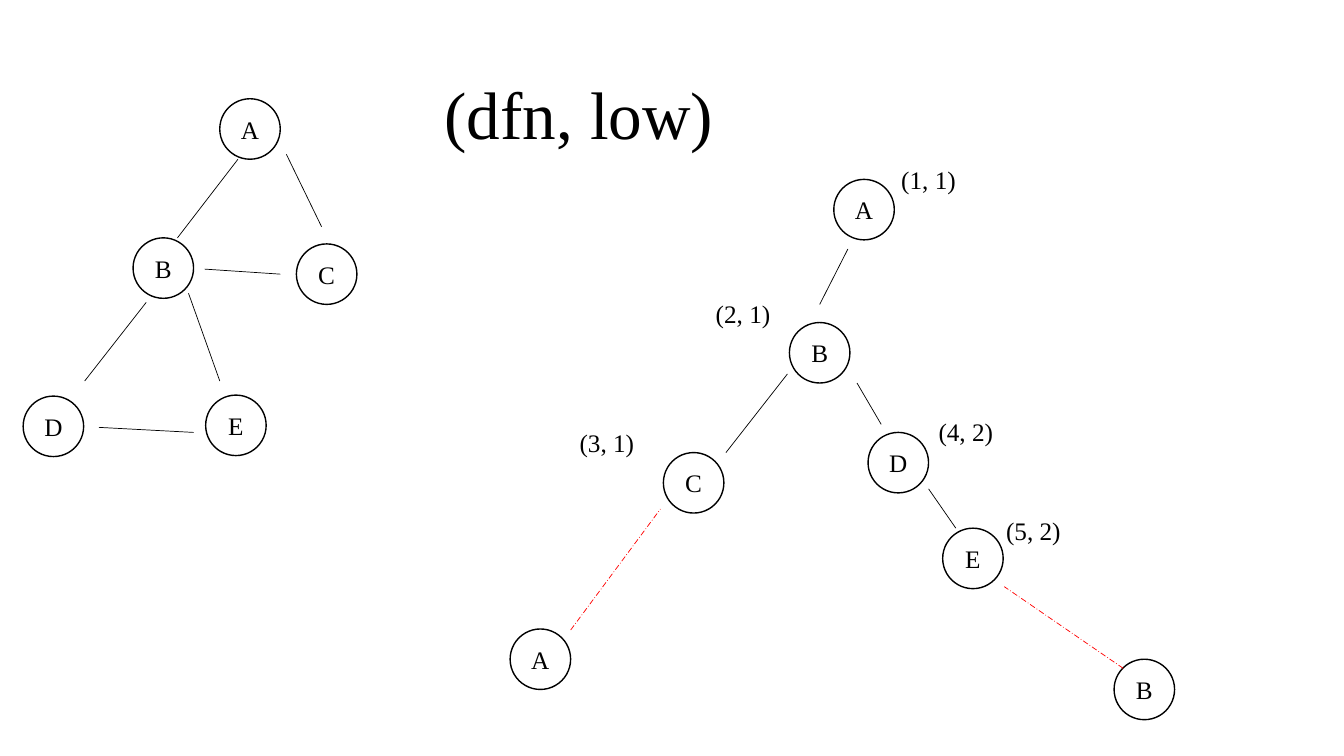
"""Build a slide with a graph and its depth-first tree, marked with dfn and low."""
import pptx
import pptx.util
import pptx.dml.color
import pptx.enum.dml
import pptx.enum.shapes
import pptx.enum.text
import pptx.oxml.ns
import lxml.etree

HUES = {"ink": "000000", "back": "FF0000"}
FACE = "Times New Roman"
CELL = pptx.util.Inches(0.01)
SIZE = 60

ALIGN = pptx.enum.text.PP_ALIGN
MID = pptx.enum.text.MSO_ANCHOR.MIDDLE
TOP = pptx.enum.text.MSO_ANCHOR.TOP
FIT = pptx.enum.text.MSO_AUTO_SIZE
NODE = {"word_wrap": True, "auto_size": FIT.NONE, "vertical_anchor": MID}
NOTE = {"word_wrap": False, "auto_size": FIT.SHAPE_TO_FIT_TEXT, "vertical_anchor": TOP}


def grid(*cells):
    """Turn grid columns and rows into lengths."""
    return [cell * CELL for cell in cells]


def write(shape, text, form, align, size):
    """Put formatted text into a shape."""
    frame = shape.text_frame
    frame.text = text
    for name, value in form.items():
        setattr(frame, name, value)
    line = frame.paragraphs[0]
    line.alignment = align
    font = line.runs[0].font
    for name, value in {"name": FACE, "size": pptx.util.Pt(size)}.items():
        setattr(font, name, value)
    font.color.rgb = pptx.dml.color.RGBColor.from_string(HUES["ink"])


deck = pptx.Presentation()
deck.slide_width, deck.slide_height = grid(1333, 750)
slide = deck.slides.add_slide(deck.slide_layouts[5])

title = slide.shapes.title
spot = dict(zip(("left", "top", "width", "height"), grid(431, 67, 289, 91)))
for name, value in spot.items():
    setattr(title, name, value)
write(title, "(dfn, low)", NOTE, ALIGN.LEFT, 48)

graph = [("A", 218, 98), ("B", 132, 236), ("C", 294, 242), ("D", 23, 393), ("E", 204, 392)]
tree = [("A", 827, 178), ("B", 783, 320), ("C", 658, 449), ("D", 861, 429), ("E", 935, 524)]
ends = [("A", 506, 624), ("B", 1105, 654)]
for text, left, top in graph + tree + ends:
    node = slide.shapes.add_shape(
        pptx.enum.shapes.MSO_SHAPE.OVAL, *grid(left, top, SIZE, SIZE))
    node.shadow.inherit = False
    node.fill.background()
    node.line.width = pptx.util.Pt(1)
    node.line.color.rgb = pptx.dml.color.RGBColor.from_string(HUES["ink"])
    write(node, text, NODE, ALIGN.CENTER, 18)

links = {
    "ink": [
        (176, 236, 236, 158), (319, 225, 284, 153), (203, 267, 278, 272),
        (187, 291, 218, 378), (98, 424, 192, 429), (84, 378, 145, 300),
        (813, 302, 841, 247), (720, 449, 781, 371), (874, 421, 850, 380),
        (948, 524, 921, 485),
    ],
    "back": [(566, 625, 655, 505), (1114, 663, 996, 582)],
}
for hue, edges in links.items():
    for edge in edges:
        link = slide.shapes.add_connector(
            pptx.enum.shapes.MSO_CONNECTOR.STRAIGHT, *grid(*edge))
        link.line.width = pptx.util.Pt(0.5)
        link.line.color.rgb = pptx.dml.color.RGBColor.from_string(HUES[hue])
        if hue == "back":
            link.line.dash_style = pptx.enum.dml.MSO_LINE.LONG_DASH_DOT
        lxml.etree.SubElement(
            link._element.spPr, pptx.oxml.ns.qn("a:effectLst"))

marks = [("(1, 1)", 884, 158), ("(2, 1)", 700, 291), ("(3, 1)", 565, 419),
         ("(4, 2)", 921, 408), ("(5, 2)", 988, 506)]
for text, left, top in marks:
    mark = slide.shapes.add_textbox(*grid(left, top, 75, 40))
    write(mark, text, NOTE, ALIGN.LEFT, 18)

deck.save("out.pptx")
